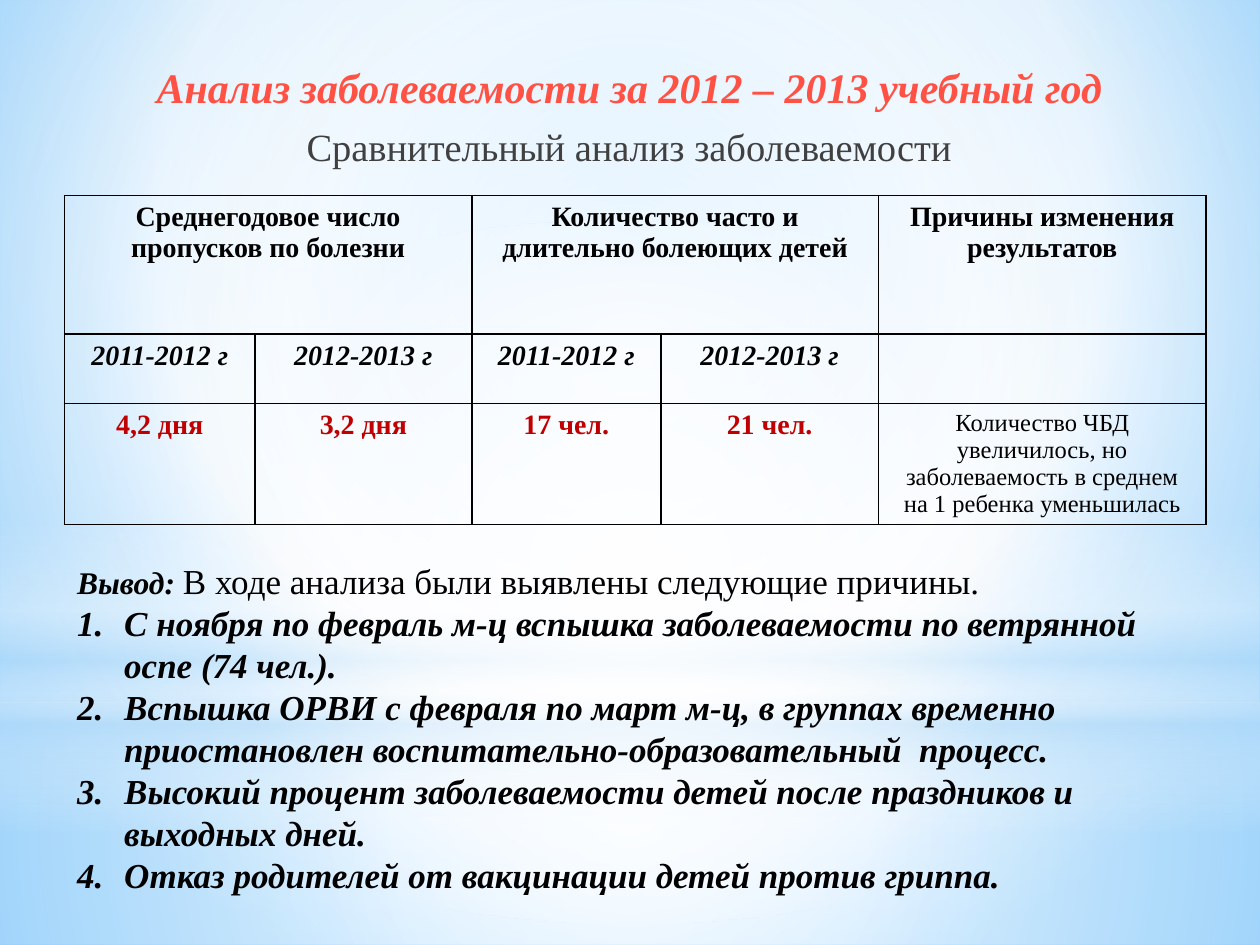
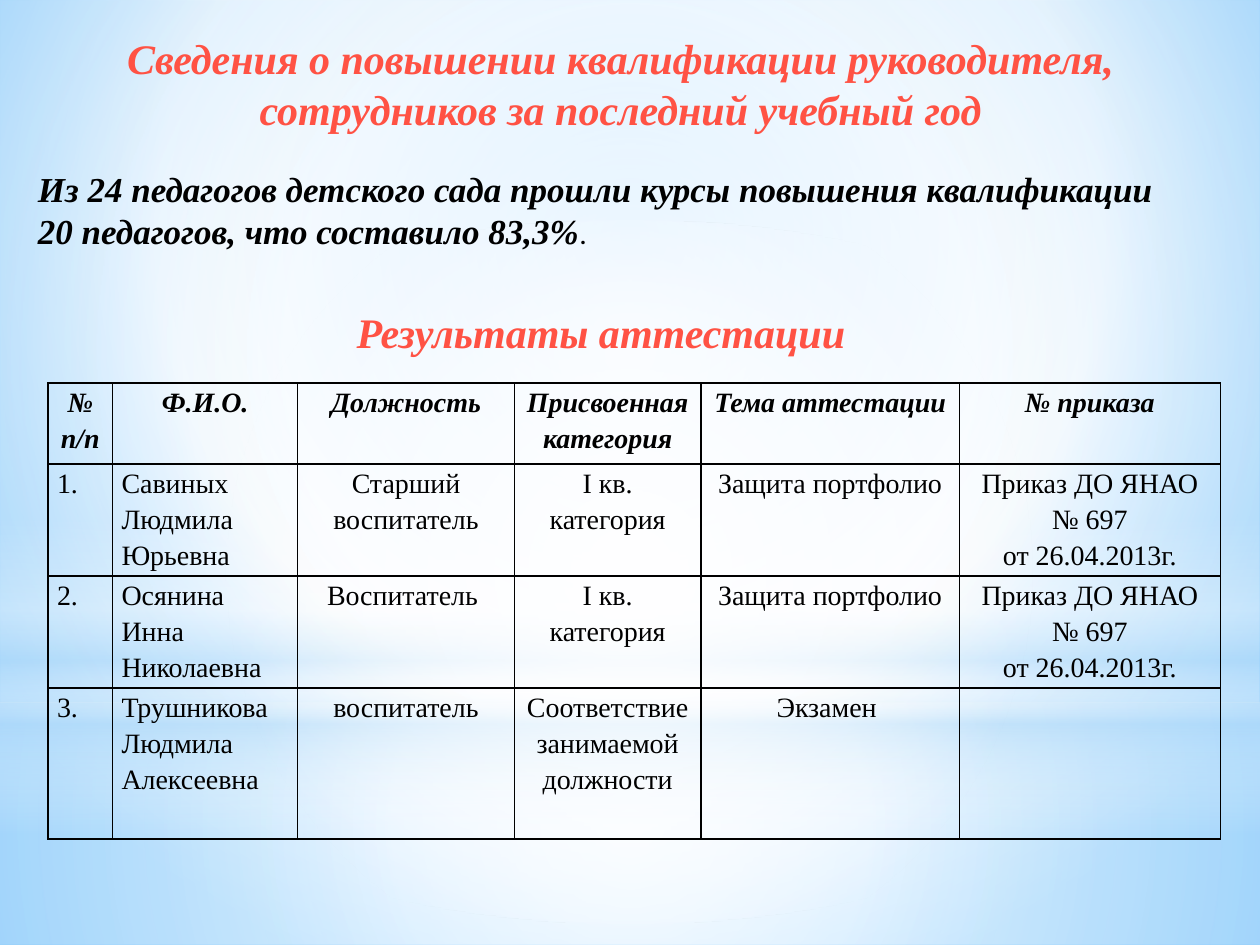
from lxml.etree import SubElement
from pptx import Presentation
from pptx.dml.color import RGBColor
from pptx.enum.shapes import MSO_SHAPE
from pptx.enum.text import MSO_ANCHOR, MSO_AUTO_SIZE, PP_ALIGN
from pptx.oxml import parse_xml
from pptx.oxml.ns import nsdecls, qn
from pptx.util import Cm, Pt

BLACK = RGBColor(0x00, 0x00, 0x00)
GREY = RGBColor(0x40, 0x40, 0x40)
RED = RGBColor(0xC0, 0x00, 0x00)
WHITE = RGBColor(0xFF, 0xFF, 0xFF)
HAZE = RGBColor(0xB4, 0xDC, 0xFA)
SKY = RGBColor(0x9E, 0xD5, 0xFF)
DEEP_SKY = RGBColor(0x5B, 0xB9, 0xFF)
MAROON = RGBColor(0x8A, 0x13, 0x00)
CORAL = RGBColor(0xFF, 0x52, 0x44)
BLUSH = RGBColor(0xFF, 0xF0, 0xF0)

SERIF = "Times New Roman"
SANS = "Roboto"
CENTRE = (50, 50, 50, 50)
HEADING_STOPS = [(0, MAROON, 100), (78, CORAL, 100), (100, BLUSH, 100)]
HEADING = dict(size=24, bold=True, italic=True, stops=HEADING_STOPS,
               align=PP_ALIGN.CENTER)
STRONG = dict(size=20, bold=True, italic=True)

SKY_STOPS = [(0, SKY, 100), (60, WHITE, 100), (100, DEEP_SKY, 100)]
BACKDROP = [
    (MSO_SHAPE.RECTANGLE, 14.17, 4.88, CENTRE,
     [(0, WHITE, 91), (37, WHITE, 76), (100, HAZE, 79)]),
    (MSO_SHAPE.RECTANGLE, 0, 14.17, CENTRE,
     [(0, WHITE, 89), (48, WHITE, 62), (100, HAZE, 79)]),
    (MSO_SHAPE.RECTANGLE, 10.46, 6.35, None,
     [(0, WHITE, 0), (29, WHITE, 30), (45, HAZE, 40),
      (55, WHITE, 26), (65, HAZE, 60), (100, WHITE, 0)]),
    (MSO_SHAPE.OVAL, 4.45, 14.17, CENTRE, [(0, WHITE, 100), (56, WHITE, 0)]),
]

CAUSES = [
    "С ноября по февраль м-ц вспышка заболеваемости по ветрянной оспе (74 чел.).",
    "Вспышка ОРВИ с февраля по март м-ц, в группах временно приостановлен "
    "воспитательно-образовательный  процесс.",
    "Высокий процент заболеваемости детей после праздников и выходных дней.",
    "Отказ родителей от вакцинации детей против гриппа.",
]
YEARS = ["2011-2012 г", "2012-2013 г"]
ILLNESS = [
    ["Среднегодовое число пропусков по болезни", "",
     "Количество часто и длительно болеющих детей", "",
     "Причины изменения результатов"],
    YEARS * 2 + [""],
    ["4,2 дня", "3,2 дня", "17 чел.", "21 чел.",
     "Количество ЧБД увеличилось, но заболеваемость в среднем "
     "на 1 ребенка уменьшилась"],
]
FIRST_CATEGORY = ["I кв.\nкатегория", "Защита портфолио",
                  "Приказ ДО ЯНАО\n№ 697\nот 26.04.2013г."]
ATTESTATION = [
    ["№\nп/п", "Ф.И.О.", "Должность", "Присвоенная категория",
     "Тема аттестации", "№ приказа"],
    ["1.", "Савиных Людмила Юрьевна", "Старший воспитатель", *FIRST_CATEGORY],
    ["2.", "Осянина Инна Николаевна", "Воспитатель ", *FIRST_CATEGORY],
    ["3.", "Трушникова Людмила Алексеевна", "воспитатель",
     "Соответствие занимаемой должности", "Экзамен ", ""],
]


def set_gradient(parent, stops, focus=None):
    """Swap the solid fill in parent for a circular or a vertical gradient."""
    grad = parse_xml(f'<a:gradFill rotWithShape="1" {nsdecls("a")}/>')
    gs_list = SubElement(grad, qn("a:gsLst"))
    for pos, color, alpha in stops:
        gs = SubElement(gs_list, qn("a:gs"), pos=str(pos * 1000))
        clr = SubElement(gs, qn("a:srgbClr"), val=str(color))
        if alpha < 100:
            SubElement(clr, qn("a:alpha"), val=str(alpha * 1000))
    if focus:
        path = SubElement(grad, qn("a:path"), path="circle")
        sides = {side: str(v * 1000) for side, v in zip("ltrb", focus)}
        SubElement(path, qn("a:fillToRect"), **sides)
    else:
        SubElement(grad, qn("a:lin"), ang="5400000", scaled="0")
    parent.replace(parent.find(qn("a:solidFill")), grad)


def write(p, text, size=16, color=BLACK, font=SERIF, bold=False, italic=False,
          stops=None, align=None, spacing=None):
    """Add a formatted run to a paragraph."""
    r = p.add_run()
    r.text = text
    f = r.font
    f.name, f.size, f.bold, f.italic = font, Pt(size), bold, italic
    f.fill.solid()
    if stops:
        set_gradient(r._r.get_or_add_rPr(), stops)
    else:
        f.color.rgb = color
    if align is not None:
        p.alignment = align
    if spacing:
        p.line_spacing = spacing


def build_backdrop(prs, slide):
    """Give the slide master its sky gradient and haze shapes."""
    master = prs.slide_master
    master.background.fill.solid()
    set_gradient(master.element.xpath("p:cSld/p:bg/p:bgPr")[0],
                 SKY_STOPS, (20, 10, 20, 60))
    for i, (kind, top, height, focus, stops) in enumerate(BACKDROP):
        sp = slide.shapes.add_shape(kind, 0, Cm(top), prs.slide_width, Cm(height))
        sp.shadow.inherit = False
        sp.line.fill.background()
        sp.fill.solid()
        set_gradient(sp.element.spPr, stops, focus)
        sp.element.xpath("p:nvSpPr/p:cNvPr")[0].set("id", str(20 + i))
        master.shapes.element.insert(2 + i, sp.element)


def place(sp, left, top, width, height, anchor=MSO_ANCHOR.TOP):
    """Position a text shape and return its text frame."""
    sp.left, sp.top, sp.width, sp.height = map(Cm, (left, top, width, height))
    tf = sp.text_frame
    tf.word_wrap = True
    tf.auto_size = MSO_AUTO_SIZE.NONE
    tf.vertical_anchor = anchor
    return tf


def add_text_box(slide, box, text, anchor=MSO_ANCHOR.TOP, **fmt):
    """Add a one-paragraph text box."""
    sp = slide.shapes.add_textbox(0, 0, 0, 0)
    write(place(sp, *box, anchor).paragraphs[0], text, **fmt)


def set_title(slide, box, text):
    """Fill the title placeholder."""
    write(place(slide.shapes.title, *box).paragraphs[0], text, **HEADING)


def set_body(slide, box, paragraphs):
    """Fill the body placeholder with (numbered, runs) paragraphs."""
    tf = place(slide.placeholders[1], *box)
    for i, (numbered, runs) in enumerate(paragraphs):
        p = tf.add_paragraph() if i else tf.paragraphs[0]
        p.space_before = Pt(0)
        for text, fmt in runs:
            write(p, text, **fmt)
        pPr = p._p.get_or_add_pPr()
        hang = Cm(0.95) if numbered else 0
        pPr.set("marL", str(hang))
        pPr.set("indent", str(-hang))
        if numbered:
            SubElement(pPr, qn("a:buFont"), typeface="+mj-lt")
            SubElement(pPr, qn("a:buAutoNum"), type="arabicPeriod")
        else:
            SubElement(pPr, qn("a:buNone"))


def set_borders(cell):
    """Draw a thin black line on each side of a cell."""
    tcPr = cell._tc.get_or_add_tcPr()
    for i, side in enumerate(("lnL", "lnR", "lnT", "lnB")):
        tcPr.insert(i, parse_xml(
            f'<a:{side} w="{Pt(1)}" {nsdecls("a")}><a:solidFill>'
            f'<a:srgbClr val="{BLACK}"/></a:solidFill></a:{side}>'))


def add_grid(slide, left, top, widths, heights, texts, style, margins=None):
    """Add a bordered, unfilled table; style(row, col) gives text format."""
    table = slide.shapes.add_table(
        len(heights), len(widths), Cm(left), Cm(top),
        Cm(sum(widths)), Cm(sum(heights))).table
    table.first_row = table.horz_banding = False
    for column, width in zip(table.columns, widths):
        column.width = Cm(width)
    for r, (row, height) in enumerate(zip(table.rows, heights)):
        row.height = Cm(height)
        for c, cell in enumerate(row.cells):
            cell.fill.background()
            set_borders(cell)
            if margins:
                cell.margin_left = cell.margin_right = Cm(margins[0])
                cell.margin_top = cell.margin_bottom = Cm(margins[1])
            if not texts[r][c]:
                continue
            for i, line in enumerate(texts[r][c].split("\n")):
                tf = cell.text_frame
                p = tf.add_paragraph() if i else tf.paragraphs[0]
                write(p, line, **style(r, c))
    return table


def illness_style(row, col):
    """Format of the illness table."""
    if (row, col) == (2, 4):
        return dict(size=14, align=PP_ALIGN.CENTER)
    return dict(bold=True, italic=row == 1, color=RED if row == 2 else BLACK,
                align=PP_ALIGN.CENTER)


def attestation_style(row, col):
    """Format of the attestation table."""
    header = row == 0
    centred = header or col > 1
    return dict(bold=header, italic=header, spacing=1.15,
                align=PP_ALIGN.CENTER if centred else PP_ALIGN.LEFT)


def build_illness(slide):
    """Fill the slide on illness rates."""
    set_title(slide, (1.09, 1.12, 23.19, 1.27),
              "Анализ заболеваемости за 2012 – 2013 учебный год")
    add_text_box(slide, (1.09, 2.35, 23.19, 1.2),
                 "Сравнительный анализ заболеваемости",
                 size=22, color=GREY, align=PP_ALIGN.CENTER)
    table = add_grid(slide, 1.3, 3.94, [3.84, 4.37, 3.81, 4.39, 6.6],
                     [2.79, 1.4, 2.44], ILLNESS, illness_style)
    for col in (0, 2):
        table.cell(0, col).merge(table.cell(0, col + 1))
    summary = [("Вывод: ", dict(size=18, bold=True, italic=True, spacing=1.5)),
               ("В ходе анализа были выявлены следующие причины.", dict(size=20))]
    set_body(slide, (1.3, 10.72, 23.01, 8),
             [(False, summary)] + [(True, [(t, STRONG)]) for t in CAUSES])


def build_attestation(slide):
    """Fill the slide on staff training and attestation."""
    set_title(slide, (0.51, 0.53, 24, 2.2),
              "Сведения о повышении квалификации руководителя, "
              "сотрудников за последний учебный год")
    set_body(slide, (0.51, 3.25, 24, 2.06), [
        (False, [("Из 24 педагогов детского сада прошли курсы "
                  "повышения квалификации", STRONG)]),
        (False, [("20 педагогов, что составило 83,3%", STRONG),
                 (".", dict(size=18, font=SANS))])])
    add_text_box(slide, (6.78, 6.05, 10.67, 1.27), "Результаты аттестации",
                 MSO_ANCHOR.MIDDLE, **HEADING)
    add_grid(slide, 0.97, 7.72, [1.3, 3.73, 4.37, 3.76, 5.21, 5.26],
             [1.63, 2.26, 2.26, 3.05], ATTESTATION, attestation_style,
             (0.18, 0))


def main():
    """Build and save the presentation."""
    prs = Presentation()
    prs.slide_width, prs.slide_height = Cm(25.4), Cm(19.05)
    layout = prs.slide_layouts[1]
    illness, attestation = (prs.slides.add_slide(layout) for _ in range(2))
    build_backdrop(prs, illness)
    build_illness(illness)
    build_attestation(attestation)
    prs.save("out.pptx")


if __name__ == "__main__":
    main()
